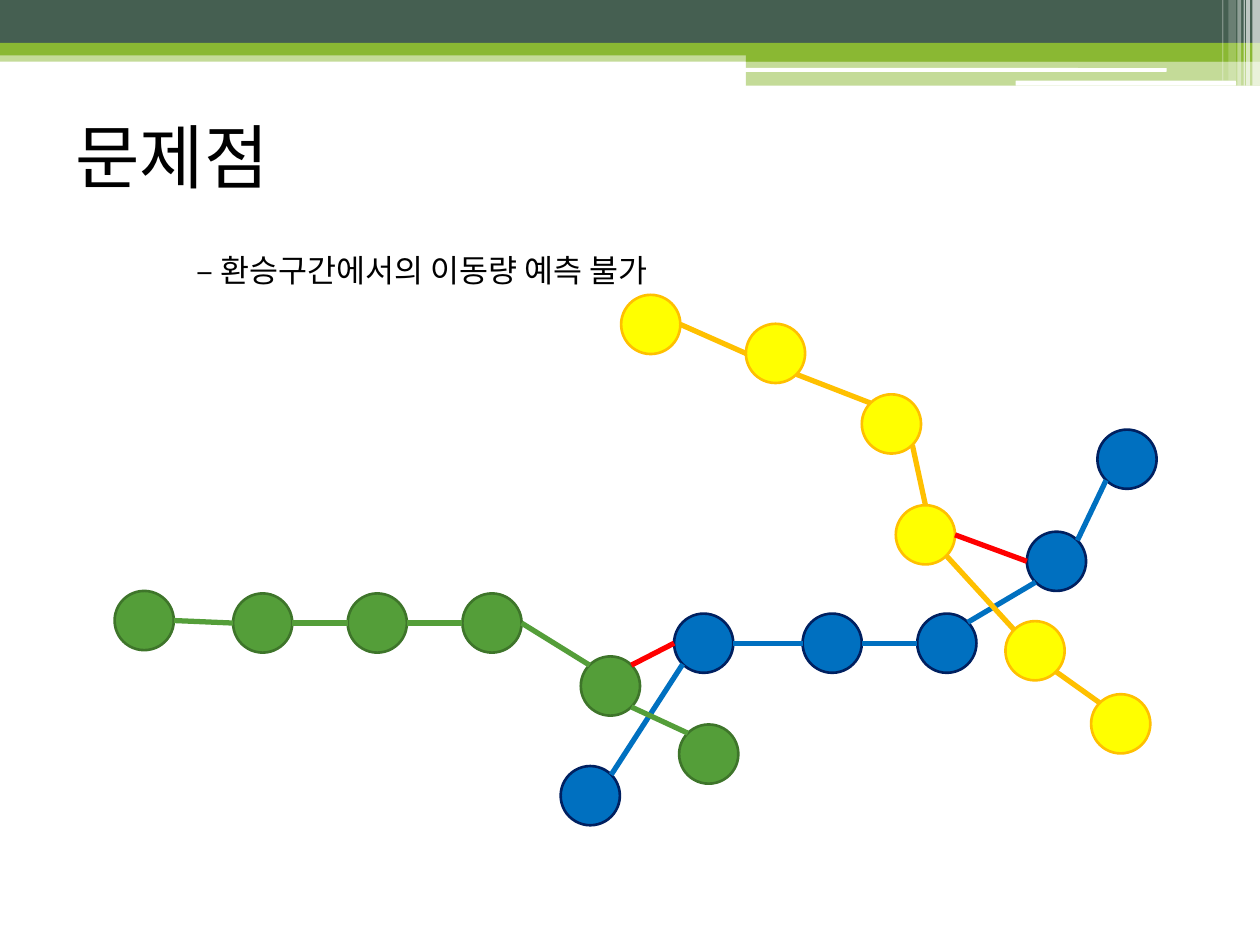
from pptx import Presentation
from pptx import util as u
from pptx.dml.color import RGBColor
from pptx.enum import shapes, text
from pptx.oxml.ns import qn
from lxml import etree

COLUMNS, ROWS = 100, 75
STATION = 4.7
DIAGONAL = 0.707
SIDES = {"E": (1, 0), "W": (-1, 0), "N": (0, -1),
         "NE": (DIAGONAL, -DIAGONAL), "NW": (-DIAGONAL, -DIAGONAL),
         "SE": (DIAGONAL, DIAGONAL), "SW": (-DIAGONAL, DIAGONAL)}


def color(value):
    return RGBColor.from_string(value)


def apply(target, values):
    for name, value in values.items():
        setattr(target, name, value)


class Board:
    font = {"name": "Times New Roman"}
    ink = "000000"
    link_width = u.Pt(3)
    ring_width = u.Pt(1.5)

    def __init__(self, deck):
        self.page = deck.slides.add_slide(deck.slide_layouts[5])
        self.column = deck.slide_width / COLUMNS
        self.row = deck.slide_height / ROWS

    def place(self, x, y):
        return round(x * self.column), round(y * self.row)

    def shape(self, kind, box, fill, alpha=100, ring=None):
        item = self.page.shapes.add_shape(
            kind, *self.place(*box[:2]), *self.place(*box[2:]))
        item.shadow.inherit = False
        item.fill.solid()
        item.fill.fore_color.rgb = color(fill)
        if alpha < 100:
            tint = item._element.spPr.find(qn("a:solidFill"))[0]
            etree.SubElement(tint, qn("a:alpha")).set("val", str(alpha * 1000))
        if ring:
            item.line.color.rgb = color(ring)
            item.line.width = self.ring_width
        else:
            item.line.fill.background()

    def station(self, corner, fill, ring):
        self.shape(shapes.MSO_SHAPE.OVAL, (*corner, STATION, STATION), fill, ring=ring)

    def edge(self, corner, side):
        return self.place(*(start + STATION / 2 * (1 + shift)
                            for start, shift in zip(corner, SIDES[side])))

    def link(self, first, leave, second, arrive, stroke):
        line = self.page.shapes.add_connector(
            shapes.MSO_CONNECTOR.STRAIGHT,
            *self.edge(first, leave), *self.edge(second, arrive))
        line.line.color.rgb = color(stroke)
        line.line.width = self.link_width
        etree.SubElement(line._element.spPr, qn("a:effectLst"))

    def fill_text(self, box, words, size, wrap):
        frame = box.text_frame
        frame.word_wrap = wrap
        para = frame.paragraphs[0]
        para.alignment = text.PP_ALIGN.LEFT
        span = para.add_run()
        span.text = words
        apply(span.font, {**self.font, "size": u.Pt(size)})
        span.font.color.rgb = color(self.ink)

    def title(self, box, words, size):
        holder = self.page.shapes.title
        left, top = self.place(*box[:2])
        width, height = self.place(*box[2:])
        apply(holder, {"left": left, "top": top, "width": width, "height": height})
        holder.text_frame.vertical_anchor = text.MSO_ANCHOR.MIDDLE
        self.fill_text(holder, words, size, True)

    def label(self, box, words, size):
        holder = self.page.shapes.add_textbox(
            *self.place(*box[:2]), *self.place(*box[2:]))
        holder.text_frame.auto_size = text.MSO_AUTO_SIZE.SHAPE_TO_FIT_TEXT
        self.fill_text(holder, words, size, False)


BANDS = [
    ((0, 4, 100, 0.9), "8AB833", 50),
    ((0, 0, 100, 3.4), "455F51", 100),
    ((0, 3.4, 100, 1), "8AB833", 100),
    ((59.2, 3.9, 40.8, 1), "8AB833", 100),
    ((59.2, 4.8, 40.8, 2), "8AB833", 50),
]
GAPS = [(59.1, 5.4, 33.5, 0.3), (80.6, 6.4, 17.5, 0.4)]
STRIPES = [(99.4, 0.6, 6.8, 65), (98.9, 0.3, 6.8, 65), (98.7, 0.1, 6.8, 60),
           (98.2, 0.3, 6.8, 40), (97.5, 0.6, 6.4, 20), (97, 0.1, 6.4, 30)]

BLUE = [(44.5, 60.8), (53.5, 48.7), (63.7, 48.7), (72.8, 48.7),
        (81.5, 42.2), (87.1, 34.1)]
GREEN = [(9.1, 46.9), (18.5, 47.1), (27.6, 47.1), (36.7, 47.1),
         (46.1, 52.1), (53.9, 57.5)]
YELLOW = [(49.3, 23.4), (59.2, 25.7), (68.4, 31.3), (71.1, 40.1),
          (79.8, 49.3), (86.6, 55.1)]

ROUTES = [
    (BLUE, "0070C0", "002060", "0070C0",
     ["NE SW", "E W", "E W", "NE SW", "NE SW"]),
    (GREEN, "549E39", "3E752A", "549E39",
     ["E W", "E W", "E W", "E NW", "SE NW"]),
    (YELLOW, "FFFF00", "FFC000", "FFC000",
     ["E W", "SE NW", "SE N", "SE NW", "SE NW"]),
]
TRANSFERS = [(GREEN[4], "NE", BLUE[1], "W"), (YELLOW[3], "E", BLUE[4], "W")]


def main():
    deck = Presentation()
    deck.slide_width, deck.slide_height = u.Inches(10), u.Inches(7.5)
    board = Board(deck)

    for box, fill, alpha in BANDS:
        board.shape(shapes.MSO_SHAPE.RECTANGLE, box, fill, alpha)
    for box in GAPS:
        board.shape(shapes.MSO_SHAPE.ROUNDED_RECTANGLE, box, "FFFFFF")
    for left, width, height, alpha in STRIPES:
        board.shape(shapes.MSO_SHAPE.RECTANGLE, (left, 0, width, height), "FFFFFF", alpha)

    board.title((5, 6.5, 90, 11.7), "문제점", 40)
    for stations, fill, ring, stroke, sides in ROUTES:
        for corner in stations:
            board.station(corner, fill, ring)
        for first, second, pair in zip(stations, stations[1:], sides):
            leave, arrive = pair.split()
            board.link(first, leave, second, arrive, stroke)
    for transfer in TRANSFERS:
        board.link(*transfer, "FF0000")
    board.label((14.6, 19.4, 41.1, 4), "– 환승구간에서의 이동량 예측 불가", 18)
    deck.save("out.pptx")


if __name__ == "__main__":
    main()
